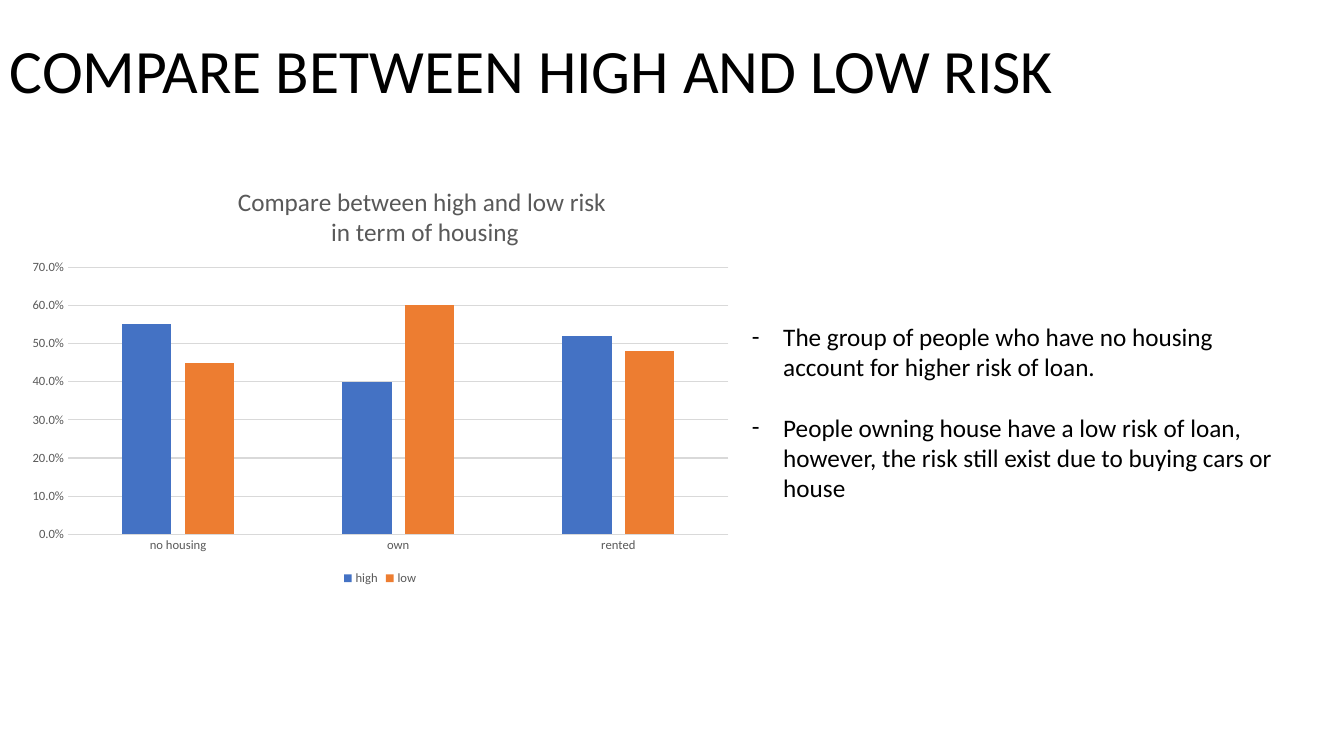
from dataclasses import dataclass

from lxml.etree import SubElement
from pptx import Presentation
from pptx.chart.data import CategoryChartData
from pptx.dml.color import RGBColor
from pptx.enum.chart import XL_CHART_TYPE as ChartType
from pptx.enum.chart import XL_LEGEND_POSITION as LegendPosition
from pptx.enum.chart import XL_TICK_MARK as TickMark
from pptx.enum.text import MSO_ANCHOR as Anchor
from pptx.oxml.ns import qn
from pptx.util import Inches, Pt

FONT = "Calibri"
BLACK = RGBColor(0x00, 0x00, 0x00)
GRAY = RGBColor(0x59, 0x59, 0x59)
GRID = RGBColor(0xD9, 0xD9, 0xD9)
BLUE = RGBColor(0x44, 0x72, 0xC4)
ORANGE = RGBColor(0xED, 0x7D, 0x31)


@dataclass
class RiskSeries:
    name: str
    shares: tuple[float, ...]
    color: RGBColor


HOUSING = ("no housing", "own", "rented")
RISKS = (
    RiskSeries("high", (0.55, 0.4, 0.52), BLUE),
    RiskSeries("low", (0.45, 0.6, 0.48), ORANGE),
)
CHART_TITLE = ("Compare between high and low risk ", "in term of housing")
FINDINGS = (
    "The group of people who have no housing account for higher risk of loan.",
    "People owning house have a low risk of loan, however, the risk still exist "
    "due to buying cars or house",
)


def style_font(font, size: float, color: RGBColor) -> None:
    font.name = FONT
    font.size = Pt(size)
    font.bold = False
    font.color.rgb = color


def style_line(line) -> None:
    line.color.rgb = GRID
    line.width = Pt(0.75)


def add_text(page, lines, left, top, width, height, *, size, anchor=Anchor.TOP,
             line_spacing=1.0, bullet="", gap=0) -> None:
    box = page.shapes.add_textbox(
        Inches(left), Inches(top), Inches(width), Inches(height))
    frame = box.text_frame
    frame.word_wrap = True
    frame.vertical_anchor = anchor
    for number, line in enumerate(lines):
        para = frame.paragraphs[0] if number == 0 else frame.add_paragraph()
        para.line_spacing = line_spacing
        para.space_before = Pt(gap if number else 0)
        span = para.add_run()
        span.text = line
        style_font(span.font, size, BLACK)
        if bullet:
            properties = para._p.get_or_add_pPr()
            properties.set("marL", str(Inches(0.31)))
            properties.set("indent", str(-Inches(0.31)))
            SubElement(properties, qn("a:buFont"), typeface=FONT)
            SubElement(properties, qn("a:buChar"), char=bullet)


def place_in_chart(element, index: int, **fractions: float) -> None:
    """Give a chart part a manual layout, in fractions of the chart area."""
    for old in element.findall(qn("c:layout")):
        element.remove(old)
    layout = SubElement(element, qn("c:layout"))
    element.insert(index, layout)
    manual = SubElement(layout, qn("c:manualLayout"))
    if "w" in fractions:
        SubElement(manual, qn("c:layoutTarget"), val="inner")
    for mode in ("xMode", "yMode"):
        SubElement(manual, qn(f"c:{mode}"), val="edge")
    for name, value in fractions.items():
        SubElement(manual, qn(f"c:{name}"), val=str(value))


def add_risk_chart(page) -> None:
    data = CategoryChartData(number_format="0.0%")
    data.categories = HOUSING
    for risk in RISKS:
        data.add_series(risk.name, risk.shares)
    chart = page.shapes.add_chart(
        ChartType.COLUMN_CLUSTERED, Inches(0.17), Inches(1.64),
        Inches(7.2), Inches(4.21), data).chart
    style_font(chart.font, 10, BLACK)

    title = chart.chart_title
    frame = title.text_frame
    for number, line in enumerate(CHART_TITLE):
        para = frame.paragraphs[0] if number == 0 else frame.add_paragraph()
        span = para.add_run()
        span.text = line
        style_font(span.font, 18, GRAY)
    place_in_chart(title._element, 1, x=0.3, y=0.04)
    plot_area = chart._chartSpace.chart.plotArea
    place_in_chart(plot_area, 0, x=0.07, y=0.24, w=0.91, h=0.63)

    plot = chart.plots[0]
    plot.gap_width = 219
    plot.overlap = -27
    plot.vary_by_categories = False
    for series, risk in zip(plot.series, RISKS):
        series.format.fill.solid()
        series.format.fill.fore_color.rgb = risk.color

    for axis in (chart.category_axis, chart.value_axis):
        axis.major_tick_mark = axis.minor_tick_mark = TickMark.NONE
        style_font(axis.tick_labels.font, 9, GRAY)
    style_line(chart.category_axis.format.line)
    shares = chart.value_axis
    shares.minimum_scale, shares.maximum_scale, shares.major_unit = 0, 0.7, 0.1
    shares.tick_labels.number_format = "0.0%"
    shares.tick_labels.number_format_is_linked = False
    shares.format.line.fill.background()
    style_line(shares.major_gridlines.format.line)

    chart.has_legend = True
    chart.legend.position = LegendPosition.BOTTOM
    chart.legend.include_in_layout = False
    style_font(chart.legend.font, 9, GRAY)


def main() -> None:
    deck = Presentation()
    deck.slide_width, deck.slide_height = Inches(13.33), Inches(7.5)
    page = deck.slides.add_slide(deck.slide_layouts[6])
    add_text(page, ["COMPARE BETWEEN HIGH AND LOW RISK"], 0, 0, 11.5, 1.45,
             size=44, anchor=Anchor.MIDDLE, line_spacing=0.9)
    add_risk_chart(page)
    add_text(page, FINDINGS, 7.36, 3.14, 5.59, 1.92, size=18, bullet="-", gap=21.5)
    deck.save("out.pptx")


if __name__ == "__main__":
    main()
